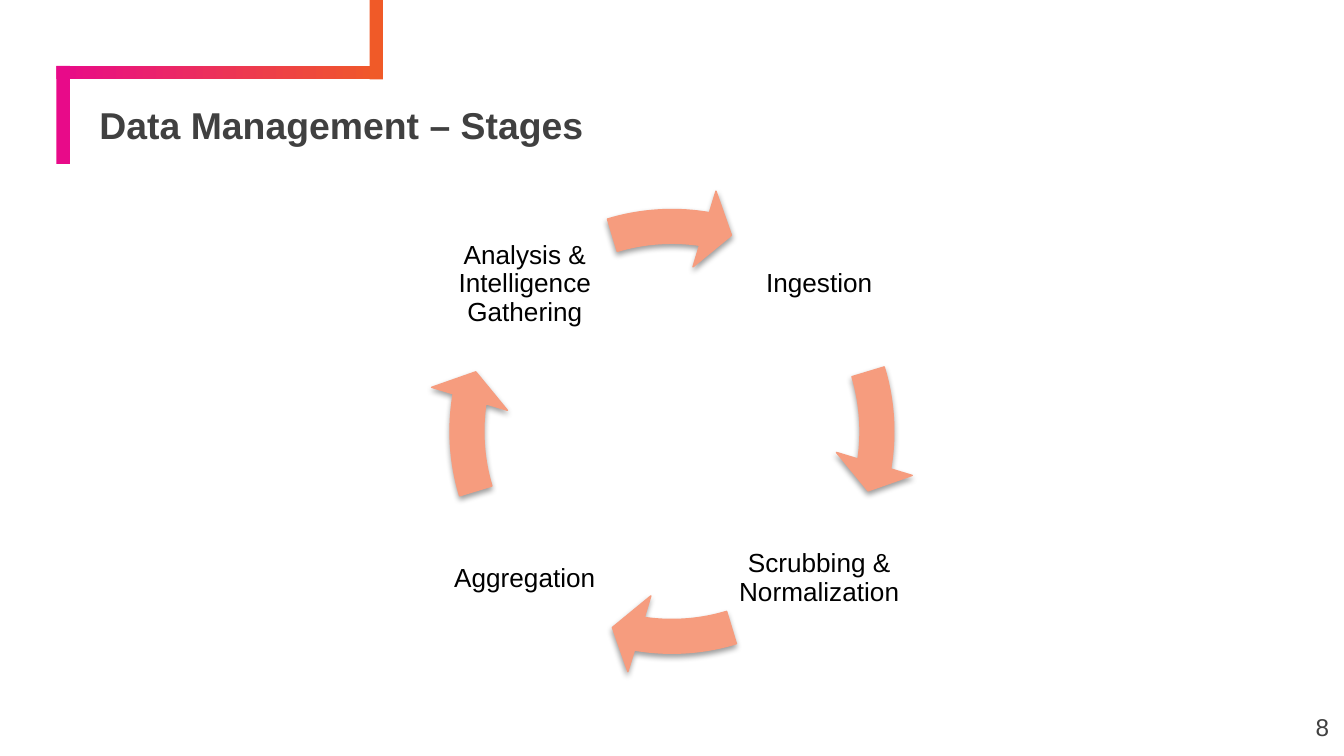
from dataclasses import dataclass

from lxml.etree import SubElement
from pptx import Presentation
from pptx.dml.color import RGBColor
from pptx.enum.shapes import MSO_SHAPE
from pptx.enum.text import MSO_ANCHOR, MSO_AUTO_SIZE, PP_ALIGN
from pptx.oxml.ns import qn
from pptx.util import Inches, Pt


@dataclass(frozen=True)
class Theme:
    font: str = "Arial"
    ink: str = "404040"
    black: str = "000000"
    pink: str = "E80A89"
    orange: str = "F05A28"
    salmon: str = "F69C7E"
    head: int = 20
    label: int = 14
    page: int = 13


THEME = Theme()
STAGES = [
    ("Ingestion", 1, 0),
    ("Scrubbing & Normalization", 1, 1),
    ("Aggregation", 0, 1),
    ("Analysis & Intelligence Gathering", 0, 0),
]
TURN = 216
QUARTER = TURN / 4


def color(code):
    return RGBColor.from_string(code)


def place(shape, box):
    shape.left, shape.top, shape.width, shape.height = map(Inches, box)


def write(shape, text, size, code, align, inset=(0.07, 0.04), bold=False, space=0.9):
    frame = shape.text_frame
    frame.text = text
    frame.word_wrap = True
    frame.auto_size = MSO_AUTO_SIZE.NONE
    frame.vertical_anchor = MSO_ANCHOR.MIDDLE
    frame.margin_left = frame.margin_right = Inches(inset[0])
    frame.margin_top = frame.margin_bottom = Inches(inset[1])
    para = frame.paragraphs[0]
    para.alignment = align
    para.line_spacing = space
    font = para.runs[0].font
    font.name, font.size, font.bold = THEME.font, Pt(size), bold
    font.color.rgb = color(code)


def add_bar(slide, box, start, end):
    bar = slide.shapes.add_shape(MSO_SHAPE.RECTANGLE, *map(Inches, box))
    bar.shadow.inherit = False
    bar.line.fill.background()
    if start == end:
        bar.fill.solid()
        bar.fill.fore_color.rgb = color(start)
    else:
        bar.fill.gradient()
        bar.fill.gradient_angle = 0
        for stop, code in zip(bar.fill.gradient_stops, (start, end)):
            stop.color.rgb = color(code)


def add_frame(slide, box):
    left, top, width, drop = box
    thick = 0.1
    add_bar(slide, (left, top, width, thick), THEME.pink, THEME.orange)
    add_bar(slide, (left, top, thick, drop), THEME.pink, THEME.pink)
    add_bar(slide, (left + width - thick, 0, thick, top + thick),
            THEME.orange, THEME.orange)


def add_title(slide, box, text):
    title = slide.shapes.title
    place(title, box)
    write(title, text, THEME.head, THEME.ink, PP_ALIGN.LEFT, bold=True)


def add_page(slide, box, text):
    page = slide.shapes.add_textbox(*map(Inches, box))
    write(page, text, THEME.page, THEME.ink, PP_ALIGN.RIGHT, space=1.0)


def add_shadow(shape):
    shape.shadow.inherit = False
    effects = shape.element.spPr.find(qn("a:effectLst"))
    outer = SubElement(effects, qn("a:outerShdw"), blurRad="40000",
                       dist="20000", dir="5400000", rotWithShape="0")
    tint = SubElement(outer, qn("a:srgbClr"), val=THEME.black)
    SubElement(tint, qn("a:alpha"), val="38000")


def add_arrow(slide, box, index):
    arrow = slide.shapes.add_shape(MSO_SHAPE.CIRCULAR_ARROW, *map(Inches, box))
    shift = index * QUARTER
    values = (0.069, 4.657, 5.481 + shift, (205.862 + shift) % TURN, 0.081)
    for spot, value in enumerate(values):
        arrow.adjustments[spot] = value
    arrow.fill.solid()
    arrow.fill.fore_color.rgb = color(THEME.salmon)
    arrow.line.color.rgb = color(THEME.salmon)
    arrow.line.width = Pt(0.75)
    add_shadow(arrow)


def add_cycle(slide, box):
    left, top, width, height = box
    side, pad, step = 1.29, 0.08, 2.19
    for index, (name, col, row) in enumerate(STAGES):
        spot = (left + pad + col * step, top + pad + row * step, side, side)
        label = slide.shapes.add_textbox(*map(Inches, spot))
        write(label, name, THEME.label, THEME.black, PP_ALIGN.CENTER, (0.02, 0.02))
        add_arrow(slide, box, index)


def main():
    deck = Presentation()
    deck.slide_width = Inches(10)
    deck.slide_height = deck.slide_width * 9 // 16
    slide = deck.slides.add_slide(deck.slide_layouts[5])
    add_frame(slide, (0.42, 0.49, 2.43, 0.73))
    add_title(slide, (0.67, 0.78, 9.03, 0.34), "Data Management – Stages")
    add_page(slide, (9.36, 5.19, 0.6, 0.43), "8")
    add_cycle(slide, (3.18, 1.39, 3.64, 3.64))
    deck.save("out.pptx")


if __name__ == "__main__":
    main()
